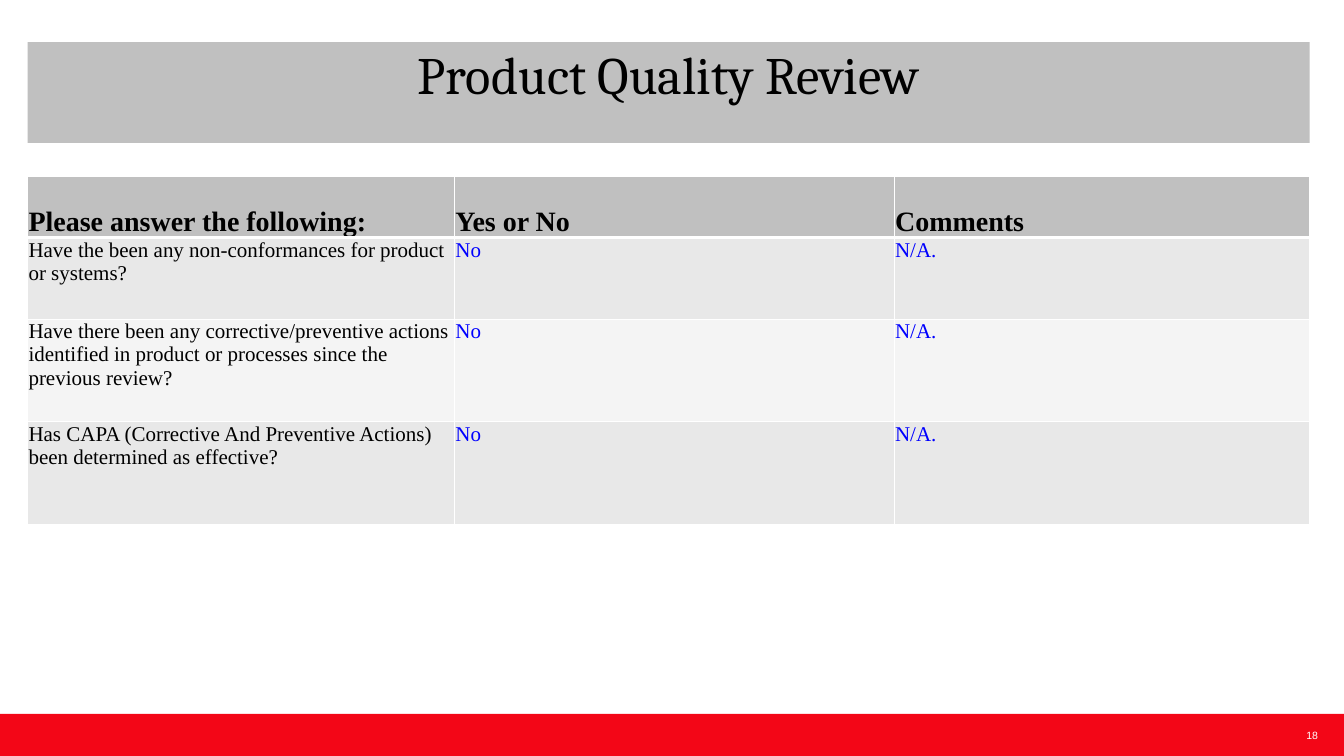
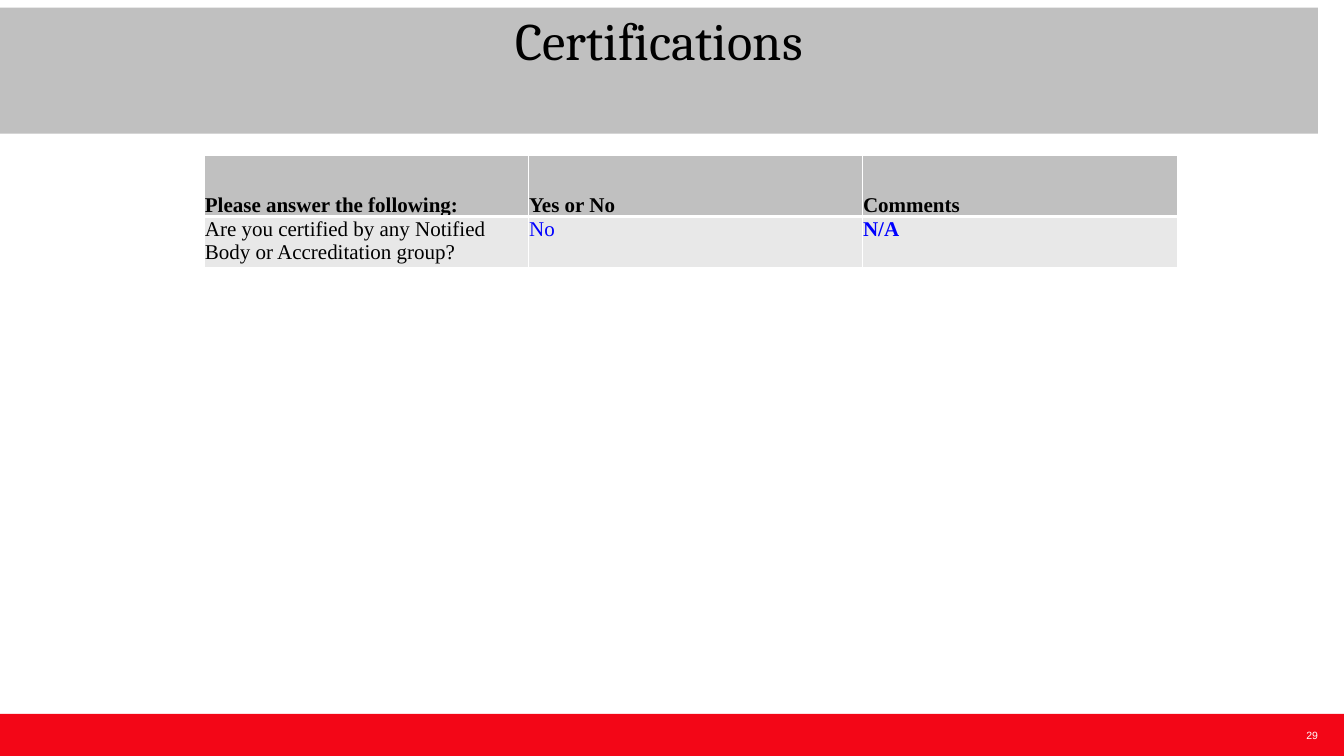
from dataclasses import dataclass

from lxml import etree
from pptx import Presentation
from pptx import util as u
from pptx.dml.color import RGBColor
from pptx.enum import shapes, text
from pptx.oxml import ns


@dataclass(frozen=True)
class Theme:
    red: str = "F30617"
    silver: str = "C0C0C0"
    bands: tuple = ("E8E8E8", "F4F4F4")
    white: str = "FFFFFF"
    black: str = "000000"
    answer: str = "0000FF"
    title_font: str = "Cambria"
    table_font: str = "Times New Roman"
    footer_font: str = "Arial"
    title_size: int = 45
    body_size: int = 18
    footer_size: int = 9
    rule: int = 1
    header_rule: int = 3


@dataclass(frozen=True)
class Box:
    left: float
    top: float
    width: float
    height: float

    def emu(self):
        return [u.Inches(side) for side in (self.left, self.top, self.width, self.height)]


THEME = Theme()
PAGE = Box(0, 0, 16, 9)
FOOTER = Box(0, 8.5, PAGE.width, 0.5)
COLUMN_SHARES = (0.333, 0.343, 0.324)
HEADINGS = ("Please answer the following:", "Yes or No", "Comments")


def paint(fill, color):
    fill.solid()
    fill.fore_color.rgb = RGBColor.from_string(color)


def style(para, font, size, color, bold=False):
    para.font.name = font
    para.font.size = u.Pt(size)
    para.font.bold = bold
    para.font.color.rgb = RGBColor.from_string(color)


def clear_margins(frame):
    frame.margin_left = frame.margin_top = frame.margin_right = frame.margin_bottom = 0


def add_title(page, box, words):
    title = page.shapes.title
    title.left, title.top, title.width, title.height = box.emu()
    paint(title.fill, THEME.silver)
    frame = title.text_frame
    clear_margins(frame)
    frame.word_wrap = True
    frame.auto_size = text.MSO_AUTO_SIZE.NONE
    frame.vertical_anchor = text.MSO_ANCHOR.TOP
    frame.text = words
    para = frame.paragraphs[0]
    para.alignment = text.PP_ALIGN.CENTER
    style(para, THEME.title_font, THEME.title_size, THEME.black)


def add_footer(page, box, number):
    band = page.shapes.add_shape(shapes.MSO_SHAPE.RECTANGLE, *box.emu())
    band.shadow.inherit = False
    paint(band.fill, THEME.red)
    band.line.fill.background()
    number_box = Box(box.left + box.width - 0.75, box.top, 0.44, box.height)
    label = page.shapes.add_textbox(*number_box.emu())
    frame = label.text_frame
    clear_margins(frame)
    frame.word_wrap = False
    frame.vertical_anchor = text.MSO_ANCHOR.MIDDLE
    frame.text = str(number)
    para = frame.paragraphs[0]
    para.alignment = text.PP_ALIGN.RIGHT
    style(para, THEME.footer_font, THEME.footer_size, THEME.white)


def add_borders(cell, row):
    top = THEME.header_rule if row == 1 else THEME.rule
    bottom = THEME.header_rule if row == 0 else THEME.rule
    widths = {"lnL": THEME.rule, "lnR": THEME.rule, "lnT": top, "lnB": bottom}
    properties = cell._tc.get_or_add_tcPr()
    for index, (side, width) in enumerate(widths.items()):
        line = etree.Element(ns.qn(f"a:{side}"), w=str(u.Pt(width)))
        fill = etree.SubElement(line, ns.qn("a:solidFill"))
        etree.SubElement(fill, ns.qn("a:srgbClr"), val=THEME.white)
        properties.insert(index, line)


def add_questions(page, box, heights, rows, header_size, bold_cells):
    table = page.shapes.add_table(len(rows) + 1, len(HEADINGS), *box.emu()).table
    for column, share in zip(table.columns, COLUMN_SHARES):
        column.width = u.Inches(box.width * share)
    for row, height in zip(table.rows, heights):
        row.height = u.Inches(height)
    for r, words_in_row in enumerate((HEADINGS, *rows)):
        header = r == 0
        for c, words in enumerate(words_in_row):
            cell = table.cell(r, c)
            cell.margin_left = cell.margin_top = cell.margin_right = u.Inches(0.01)
            cell.margin_bottom = 0
            cell.vertical_anchor = text.MSO_ANCHOR.BOTTOM if header else text.MSO_ANCHOR.TOP
            paint(cell.fill, THEME.silver if header else THEME.bands[(r - 1) % 2])
            add_borders(cell, r)
            cell.text = words
            style(
                cell.text_frame.paragraphs[0],
                THEME.table_font,
                header_size if header else THEME.body_size,
                THEME.black if header or c == 0 else THEME.answer,
                header or (r, c) in bold_cells,
            )


def add_review_page(deck, number, title, title_box, table_origin, table_width,
                    heights, rows, header_size, bold_cells=()):
    page = deck.slides.add_slide(deck.slide_layouts[5])
    add_footer(page, FOOTER, number)
    add_title(page, title_box, title)
    table_box = Box(*table_origin, table_width, sum(heights))
    add_questions(page, table_box, heights, rows, header_size, bold_cells)


def main():
    deck = Presentation()
    deck.slide_width = u.Inches(PAGE.width)
    deck.slide_height = u.Inches(PAGE.height)
    add_review_page(
        deck, 18, "Product Quality Review", Box(0.33, 0.5, 15.26, 1.2),
        (0.33, 2.1), 15.26, (0.73, 0.97, 1.22, 1.22),
        (
            ("Have the been any non-conformances for product or systems?", "No", "N/A."),
            ("Have there been any corrective/preventive actions identified in product "
             "or processes since the previous review?", "No", "N/A."),
            ("Has CAPA (Corrective And Preventive Actions) been determined as effective?",
             "No", "N/A."),
        ),
        header_size=24,
    )
    add_review_page(
        deck, 29, "Certifications", Box(0, 0.09, 15.69, 1.5),
        (2.43, 1.85), 11.59, (0.73, 0.6),
        (("Are you certified by any Notified Body or Accreditation group?", "No", "N/A"),),
        header_size=18, bold_cells={(1, 2)},
    )
    deck.save("out.pptx")


if __name__ == "__main__":
    main()
